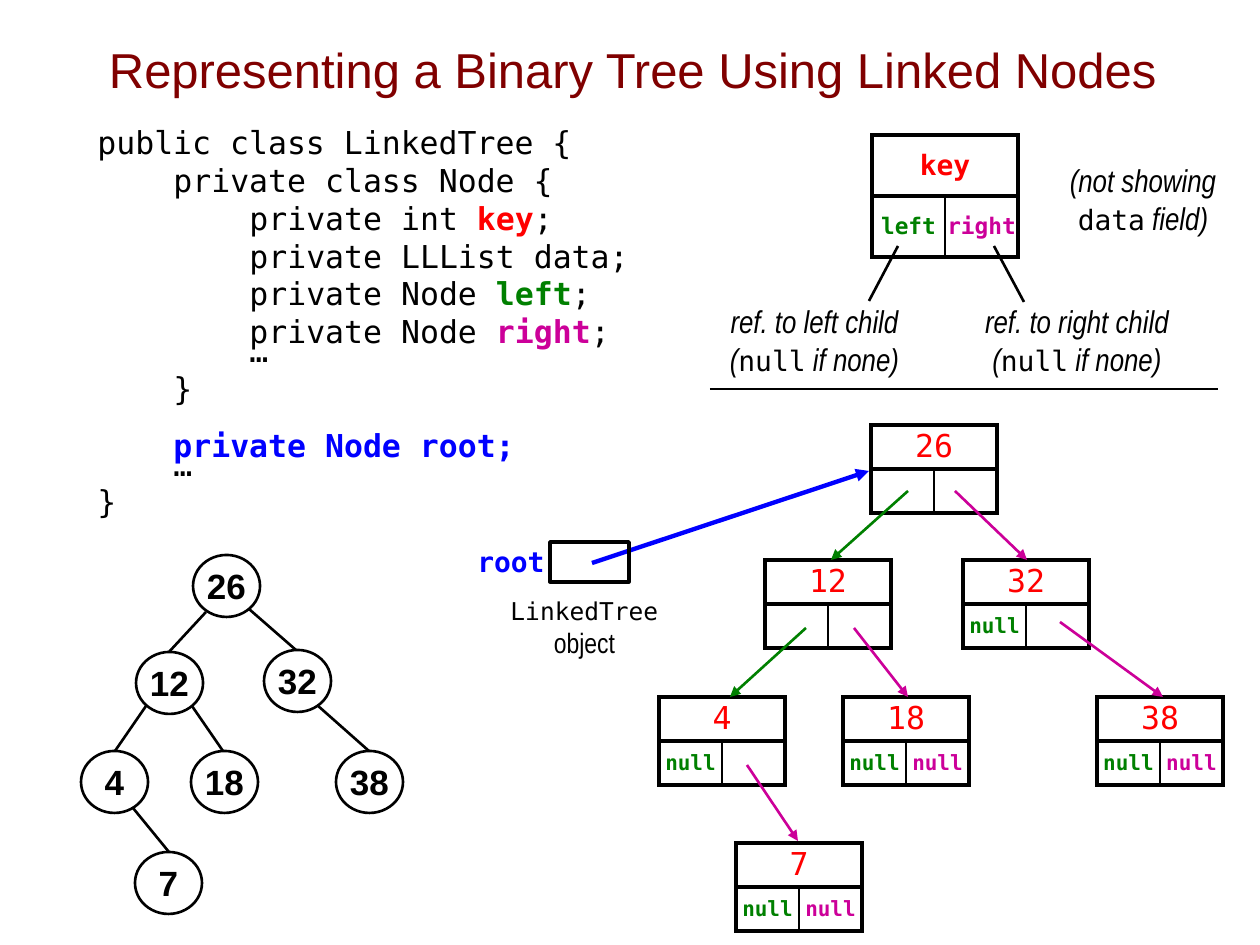
from lxml.etree import SubElement
from pptx import Presentation
from pptx.dml.color import RGBColor
from pptx.enum.shapes import MSO_CONNECTOR, MSO_SHAPE
from pptx.enum.text import MSO_ANCHOR, PP_ALIGN
from pptx.oxml.ns import qn
from pptx.util import Pt

BLACK = RGBColor(0x00, 0x00, 0x00)
WHITE = RGBColor(0xFF, 0xFF, 0xFF)
MAROON = RGBColor(0x80, 0x00, 0x00)
RED = RGBColor(0xFF, 0x00, 0x00)
GREEN = RGBColor(0x00, 0x80, 0x00)
MAGENTA = RGBColor(0xCC, 0x00, 0x99)
BLUE = RGBColor(0x00, 0x00, 0xFF)

SANS, NARROW, MONO = "Arial", "Arial Narrow", "DejaVu Sans Mono"
CENTER = PP_ALIGN.CENTER
CODE_LEADING = 21.6


def px(n):
    return round(n * 914400 / 126)


def add_run(p, text, font, size, color=BLACK, bold=False, italic=False):
    r = p.add_run()
    r.text = text
    f = r.font
    f.name, f.size, f.bold, f.italic = font, Pt(size), bold, italic
    f.color.rgb = color


def add_text(s, box, lines, align=CENTER, anchor=MSO_ANCHOR.TOP, wrap=False, leading=None):
    """Add a text box; each line is a list of argument tuples for add_run."""
    tf = s.shapes.add_textbox(*map(px, box)).text_frame
    tf.word_wrap, tf.vertical_anchor = wrap, anchor
    for i, runs in enumerate(lines):
        p = tf.add_paragraph() if i else tf.paragraphs[0]
        p.alignment = align
        if leading:
            p.line_spacing = Pt(leading)
        for run in runs:
            add_run(p, *run)
    return tf


def add_line(s, x1, y1, x2, y2, color=BLACK, width=1.5, arrow=False):
    line = s.shapes.add_connector(MSO_CONNECTOR.STRAIGHT, px(x1), px(y1), px(x2), px(y2))
    line.line.color.rgb = color
    line.line.width = Pt(width)
    if arrow:
        SubElement(line.line._get_or_add_ln(), qn("a:tailEnd"), type="triangle")
    SubElement(line._element.spPr, qn("a:effectLst"))


def add_outline(s, kind, box, width):
    sp = s.shapes.add_shape(kind, *map(px, box))
    sp.shadow.inherit = False
    sp.fill.background()
    sp.line.color.rgb = BLACK
    sp.line.width = Pt(width)


def set_borders(cell, **widths):
    tcPr = cell._tc.get_or_add_tcPr()
    for i, side in enumerate("LRTB"):
        ln = SubElement(tcPr, qn(f"a:ln{side}"), w=str(Pt(widths.get(side, 2.25))))
        fill = SubElement(ln, qn("a:solidFill"))
        SubElement(fill, qn("a:srgbClr"), val=str(BLACK))
        tcPr.insert(i, ln)


def add_node(s, x, y, key, left="", right="", col=63, row=44,
             key_size=18, key_bold=False, ref_size=12):
    """Add a linked node: the key above its left and right references."""
    tbl = s.shapes.add_table(2, 2, px(x), px(y), px(2 * col), px(2 * row)).table
    tbl.first_row = tbl.horz_banding = False
    for i in range(2):
        tbl.columns[i].width, tbl.rows[i].height = px(col), px(row)
    tbl.cell(0, 0).merge(tbl.cell(0, 1))
    parts = {
        (0, 0): (key, key_size, RED, key_bold),
        (0, 1): ("", key_size, RED, key_bold),
        (1, 0): (left, ref_size, GREEN, True),
        (1, 1): (right, ref_size, MAGENTA, True),
    }
    thin = {(1, 0): {"R": 1.5}, (1, 1): {"L": 1.5}}
    for at, (text, size, color, bold) in parts.items():
        cell = tbl.cell(*at)
        cell.fill.background()
        cell.vertical_anchor = MSO_ANCHOR.MIDDLE
        cell.margin_left = cell.margin_right = 0
        cell.margin_top = cell.margin_bottom = px(3)
        set_borders(cell, **thin.get(at, {}))
        p = cell.text_frame.paragraphs[0]
        p.alignment = CENTER
        if text:
            add_run(p, text, MONO, size, color, bold)


def add_code(s, x, y, w, h):
    def code(text, color=BLACK, bold=False):
        return text, MONO, 18, color, bold

    lines = [
        (0, [code("public class LinkedTree {")]),
        (1, [code("private class Node {")]),
        (2, [code("private int "), code("key", RED, True), code(";")]),
        (2, [code("private LLList data;")]),
        (2, [code("private Node "), code("left", GREEN, True), code(";")]),
        (2, [code("private Node "), code("right", MAGENTA, True), code(";")]),
        (2, [code("…")]),
        (1, [code("}")]),
        (1, [code("private Node root;", BLUE, True)]),
        (1, [code("…")]),
        (0, [code("}")]),
    ]
    tf = add_text(s, (x, y, w, h), [runs for _, runs in lines],
                  PP_ALIGN.LEFT, wrap=True, leading=CODE_LEADING)
    for p, (level, _) in zip(tf.paragraphs, lines):
        p._p.get_or_add_pPr().set("marL", str(px(76 * level)))
        if p.text == "…":
            p.line_spacing = Pt(CODE_LEADING / 2)
        if "root" in p.text:
            p.space_before = Pt(CODE_LEADING / 2)


def add_circle_tree(s, x, y):
    circles = [("26", 112, 0), ("12", 55, 97), ("32", 183, 95), ("4", 0, 196),
               ("18", 110, 196), ("38", 255, 196), ("7", 54, 297)]
    edges = [(125, 57, 88, 97), (168, 54, 215, 95), (65, 151, 34, 196),
             (111, 151, 142, 196), (236, 150, 288, 196), (52, 253, 88, 297)]
    for key, dx, dy in circles:
        sp = s.shapes.add_shape(MSO_SHAPE.RECTANGLE, px(x + dx - 5), px(y + dy + 5), px(77), px(52))
        sp.shadow.inherit = False
        sp.fill.solid()
        sp.fill.fore_color.rgb = WHITE
        sp.line.fill.background()
        p = sp.text_frame.paragraphs[0]
        p.alignment = CENTER
        add_run(p, key, SANS, 20, BLACK, True)
        add_outline(s, MSO_SHAPE.OVAL, (x + dx, y + dy, 67, 62), 1.5)
    for x1, y1, x2, y2 in edges:
        add_line(s, x + x1, y + y1, x + x2, y + y2)


def add_legend(s, x, y):
    """Add the annotated node and the rule beneath it."""
    def note(text):
        return text, NARROW, 18, BLACK, False, True

    def code(text):
        return text, MONO, 16

    add_node(s, x + 162, y, "key", "left", "right", 73, 61, 16, True, 13)
    add_line(s, x + 159, y + 166, x + 188, y + 111)
    add_line(s, x + 314, y + 167, x + 284, y + 111)
    add_text(s, (x + 346, y + 20, 174, 89),
             [[note("(not showing")], [code("data"), note(" field)")]])
    for side, dx, w in (("left", 6, 197), ("right", 261, 212)):
        add_text(s, (x + dx, y + 161, w, 89),
                 [[note(f"ref. to {side} child")],
                  [note("("), code("null"), note(" if none)")]])
    add_line(s, x, y + 254, x + 508, y + 254)


def add_linked_tree(s, x, y):
    nodes = [("26", 212, 0, "", ""), ("12", 106, 135, "", ""), ("32", 304, 135, "null", ""),
             ("4", 0, 272, "null", ""), ("18", 184, 272, "null", "null"),
             ("38", 438, 272, "null", "null"), ("7", 77, 418, "null", "null")]
    refs = [(249, 66, 172, 135, GREEN), (296, 66, 368, 135, MAGENTA),
            (147, 203, 71, 272, GREEN), (195, 203, 249, 272, MAGENTA),
            (401, 197, 504, 272, MAGENTA), (88, 340, 139, 416, MAGENTA)]
    for key, dx, dy, left, right in nodes:
        add_node(s, x + dx, y + dy, key, left, right)
    for x1, y1, x2, y2, color in refs:
        add_line(s, x + x1, y + y1, x + x2, y + y2, color, arrow=True)


def add_root(s, x, y):
    add_text(s, (x, y, 93, 47), [[("root", MONO, 16, BLUE, True)]], PP_ALIGN.RIGHT)
    add_line(s, x + 128, y + 25, x + 405, y - 67, BLUE, 2.5, arrow=True)
    add_outline(s, MSO_SHAPE.RECTANGLE, (x + 86, y + 4, 79, 40), 2)
    add_text(s, (x + 31, y + 48, 179, 79),
             [[("LinkedTree", MONO, 14)], [("object", NARROW, 16)]], leading=19)


def main():
    prs = Presentation()
    prs.slide_width, prs.slide_height = px(1260), px(945)
    s = prs.slides.add_slide(prs.slide_layouts[6])
    add_text(s, (54, 10, 1157, 117),
             [[("Representing a Binary Tree Using Linked Nodes", SANS, 28, MAROON)]],
             anchor=MSO_ANCHOR.MIDDLE, wrap=True)
    add_code(s, 85, 117, 600, 420)
    add_circle_tree(s, 81, 555)
    add_linked_tree(s, 659, 425)
    add_legend(s, 710, 135)
    add_root(s, 464, 538)
    prs.save("out.pptx")


if __name__ == "__main__":
    main()
